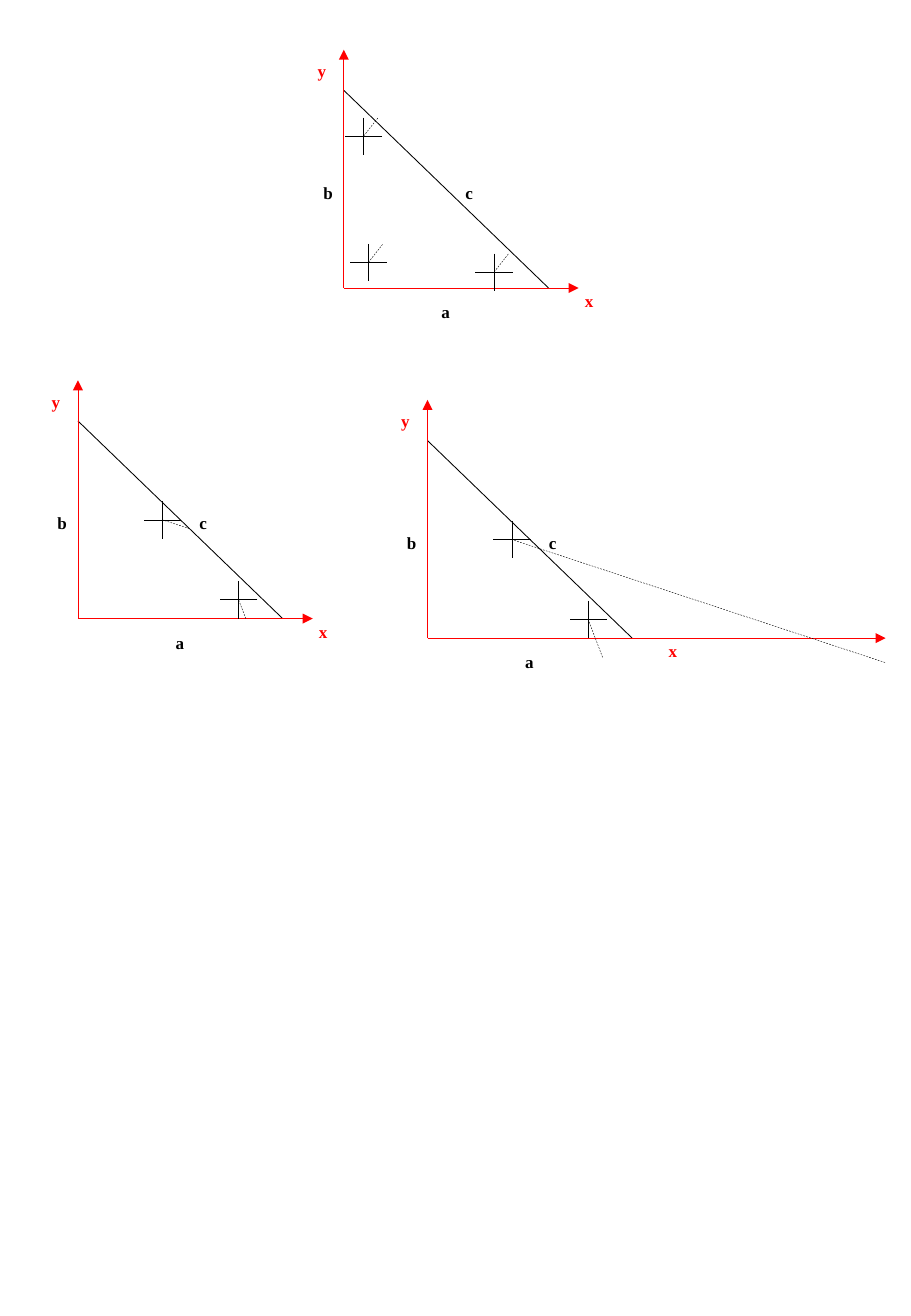
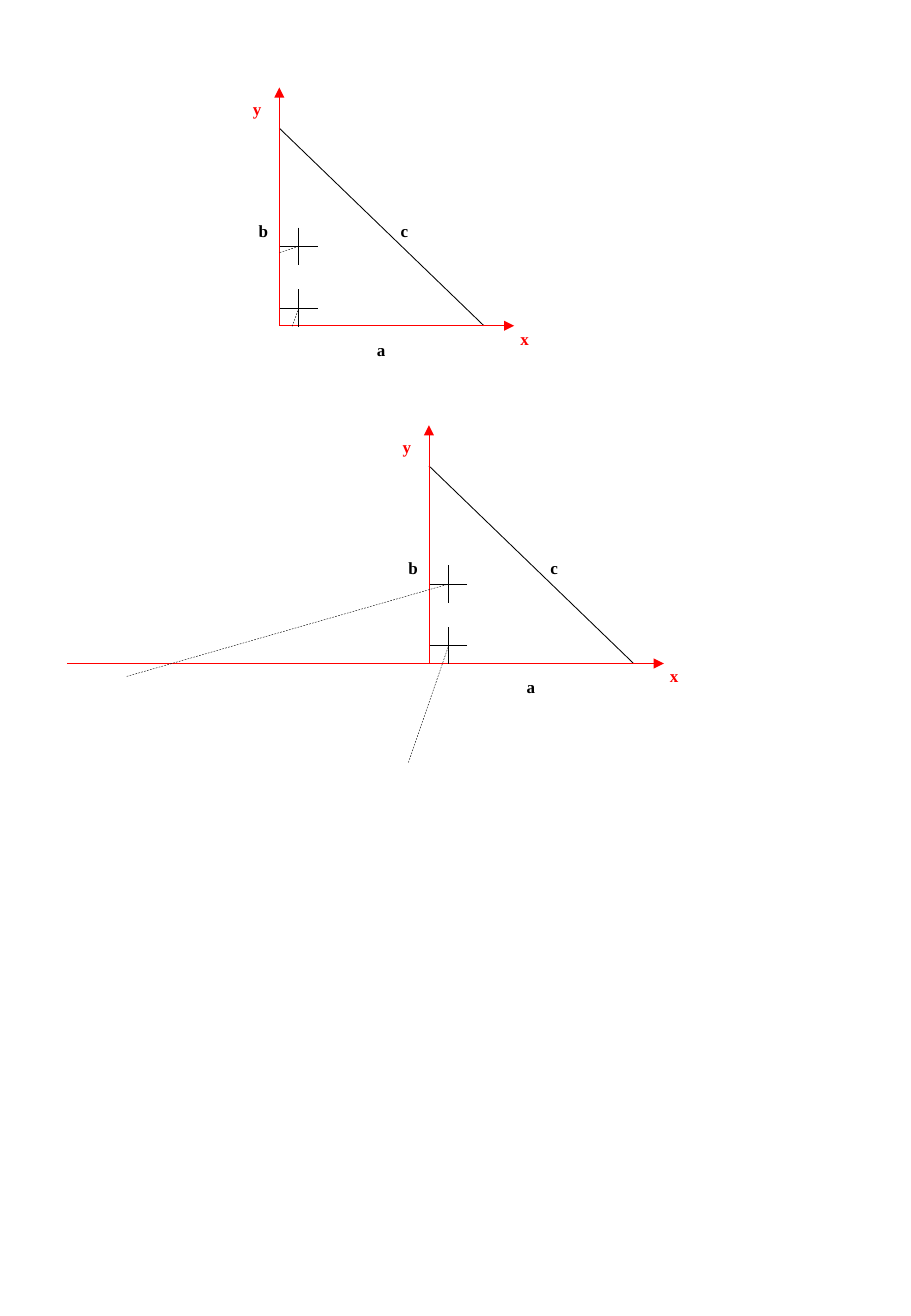
from dataclasses import dataclass
from typing import Optional

from lxml.etree import SubElement
from pptx import Presentation
from pptx.dml.color import RGBColor
from pptx.enum.dml import MSO_LINE
from pptx.enum.shapes import MSO_CONNECTOR
from pptx.enum.text import MSO_ANCHOR, MSO_AUTO_SIZE, PP_ALIGN
from pptx.oxml.ns import qn
from pptx.shapes.group import GroupShape
from pptx.slide import Slide
from pptx.util import Cm, Pt

BLACK = "000000"
RED = "FF0000"
FONT = "Times New Roman"
BASE = 4.28
HEIGHT = 4.13
AXIS_TOP = 4.98
ARM = 0.39
LABEL_WIDTH = 0.66
LABEL_HEIGHT = 0.69
LABEL_INSET = 0.14

Point = tuple[float, float]


@dataclass(frozen=True)
class Label:
    text: str
    offset: Point
    color: str = BLACK


@dataclass(frozen=True)
class Cross:
    center: Point
    ray: Point


@dataclass(frozen=True)
class Diagram:
    origin: Point
    crosses: tuple[Cross, ...]
    axis_start: float = 0
    axis_end: float = 4.91


LABELS = (
    Label("y", (-0.79, -4.88), RED),
    Label("x", (4.8, -0.08), RED),
    Label("b", (-0.66, -2.34)),
    Label("a", (1.8, 0.15)),
    Label("c", (2.29, -2.34)),
)

CORNER_RAY = (0.3, -0.38)
UPPER_RIGHT = (1.77, -2.06)
LOWER_RIGHT = (3.36, -0.39)
UPPER_LEFT = (0.41, -1.66)
LOWER_LEFT = (0.41, -0.37)

SLIDES = (
    (
        Diagram((7.19, 6.02), (
            Cross((0.51, -0.53), CORNER_RAY),
            Cross((0.41, -3.17), CORNER_RAY),
            Cross((3.14, -0.33), CORNER_RAY),
        )),
        Diagram((1.63, 12.93), (
            Cross(LOWER_RIGHT, (0.15, 0.39)),
            Cross(UPPER_RIGHT, (0.56, 0.18)),
        )),
        Diagram((8.94, 13.34), (
            Cross(LOWER_RIGHT, (0.3, 0.79)),
            Cross(UPPER_RIGHT, (7.8, 2.57)),
        ), axis_end=9.58),
    ),
    (
        Diagram((5.84, 6.81), (
            Cross(UPPER_LEFT, (-0.4, 0.13)),
            Cross(LOWER_LEFT, (-0.14, 0.38)),
        )),
        Diagram((8.97, 13.87), (
            Cross(UPPER_LEFT, (-6.73, 1.93)),
            Cross(LOWER_LEFT, (-0.84, 2.44)),
        ), axis_start=-7.57),
    ),
)


def rgb(color: str) -> RGBColor:
    return RGBColor.from_string(color)


def shift(point: Point, offset: Point) -> Point:
    return point[0] + offset[0], point[1] + offset[1]


def draw_line(group: GroupShape, start: Point, end: Point, color: str = BLACK,
              width: float = 0.5, dash: Optional[MSO_LINE] = None,
              arrow: bool = False) -> None:
    connector = group.shapes.add_connector(
        MSO_CONNECTOR.STRAIGHT, Cm(start[0]), Cm(start[1]), Cm(end[0]), Cm(end[1]))
    connector.line.color.rgb = rgb(color)
    connector.line.width = Pt(width)
    if dash is not None:
        connector.line.dash_style = dash
    properties = connector._element.spPr
    if arrow:
        SubElement(properties.find(qn("a:ln")), qn("a:tailEnd"), type="triangle")
    SubElement(properties, qn("a:effectLst"))


def draw_label(group: GroupShape, origin: Point, label: Label) -> None:
    left, top = shift(origin, label.offset)
    text_box = group.shapes.add_textbox(
        Cm(left), Cm(top), Cm(LABEL_WIDTH), Cm(LABEL_HEIGHT))
    frame = text_box.text_frame
    frame.word_wrap = True
    frame.auto_size = MSO_AUTO_SIZE.SHAPE_TO_FIT_TEXT
    frame.vertical_anchor = MSO_ANCHOR.MIDDLE
    frame.margin_left = frame.margin_right = 0
    frame.margin_top = frame.margin_bottom = Cm(LABEL_INSET)
    paragraph = frame.paragraphs[0]
    paragraph.alignment = PP_ALIGN.CENTER
    run = paragraph.add_run()
    run.text = label.text
    run.font.name = FONT
    run.font.size = Pt(10.1)
    run.font.bold = True
    run.font.color.rgb = rgb(label.color)


def draw_cross(group: GroupShape, origin: Point, cross: Cross) -> None:
    center = shift(origin, cross.center)
    draw_line(group, shift(center, (0, -ARM)), shift(center, (0, ARM)))
    draw_line(group, shift(center, (ARM, 0)), shift(center, (-ARM, 0)))
    draw_line(group, shift(center, cross.ray), center, width=0.25, dash=MSO_LINE.DASH)


def draw_diagram(slide: Slide, diagram: Diagram) -> None:
    group = slide.shapes.add_group_shape()
    origin = diagram.origin
    apex = shift(origin, (0, -HEIGHT))
    corner = shift(origin, (BASE, 0))
    for start, end in ((apex, origin), (corner, origin), (apex, corner)):
        draw_line(group, start, end)
    draw_line(group, origin, shift(origin, (0, -AXIS_TOP)), RED, arrow=True)
    draw_line(group, shift(origin, (diagram.axis_start, 0)),
              shift(origin, (diagram.axis_end, 0)), RED, arrow=True)
    for label in LABELS:
        draw_label(group, origin, label)
    for cross in diagram.crosses:
        draw_cross(group, origin, cross)


def main() -> None:
    presentation = Presentation()
    presentation.slide_width = Cm(19.05)
    presentation.slide_height = Cm(27.51)
    for diagrams in SLIDES:
        slide = presentation.slides.add_slide(presentation.slide_layouts[6])
        for diagram in diagrams:
            draw_diagram(slide, diagram)
    presentation.save("out.pptx")


main()
